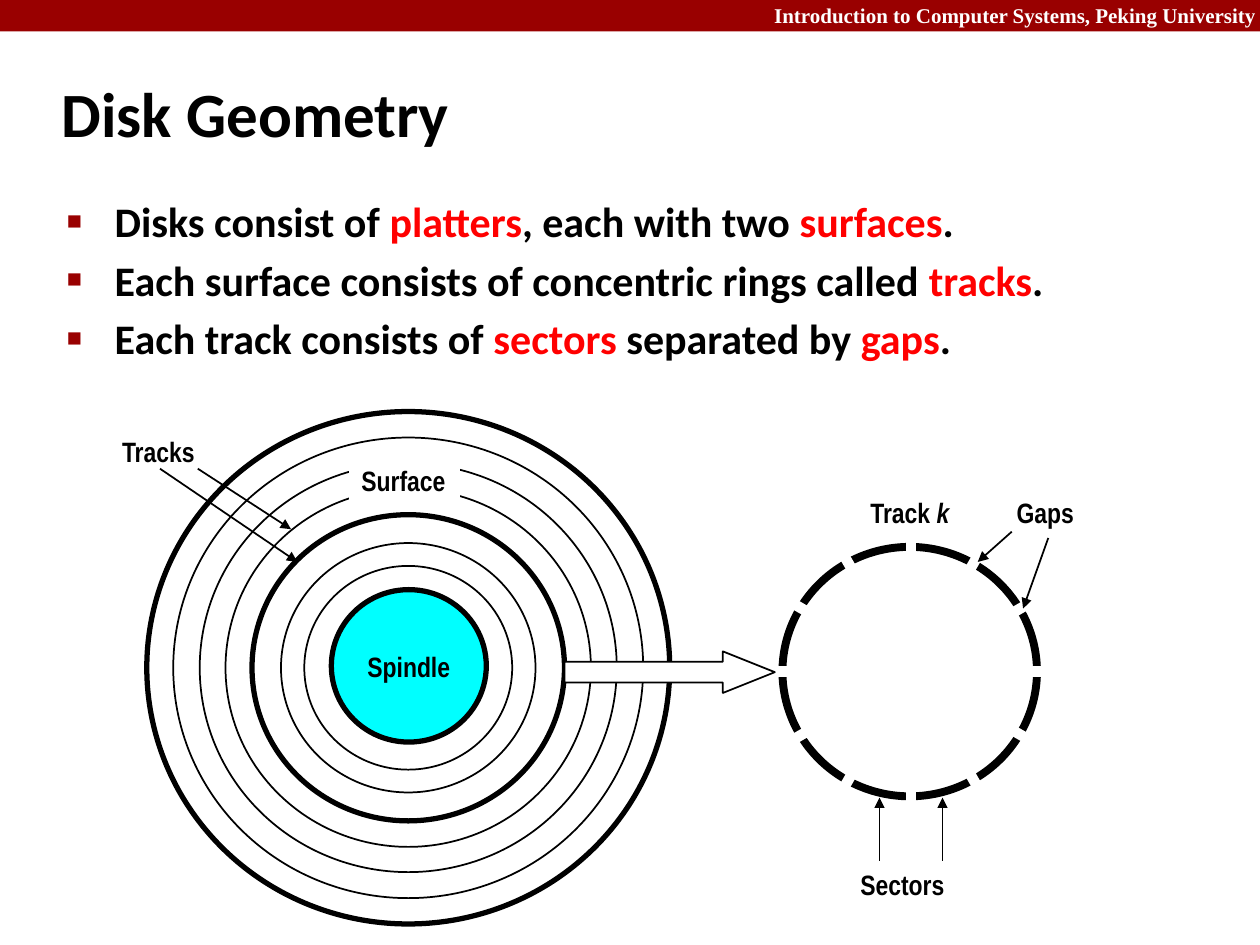
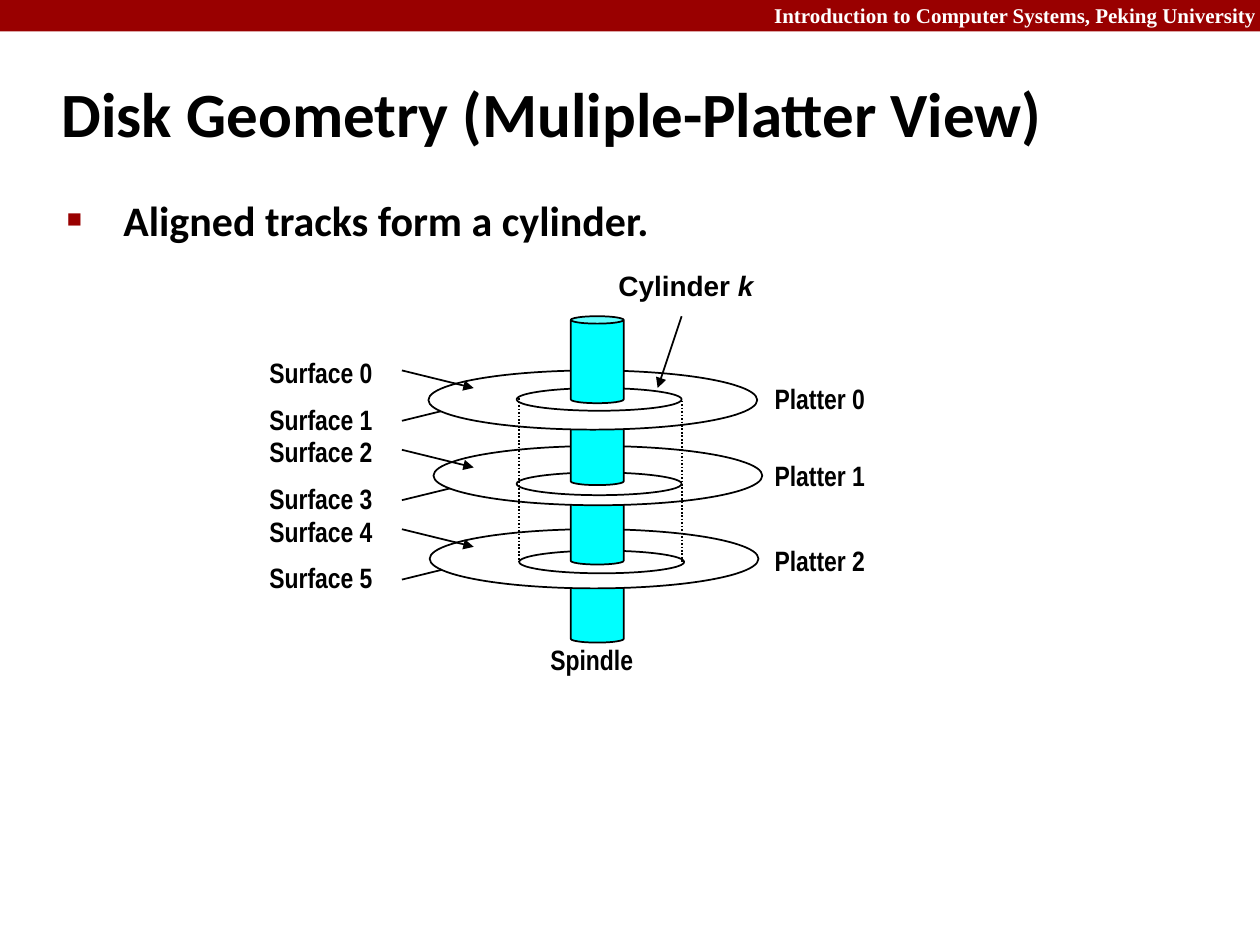
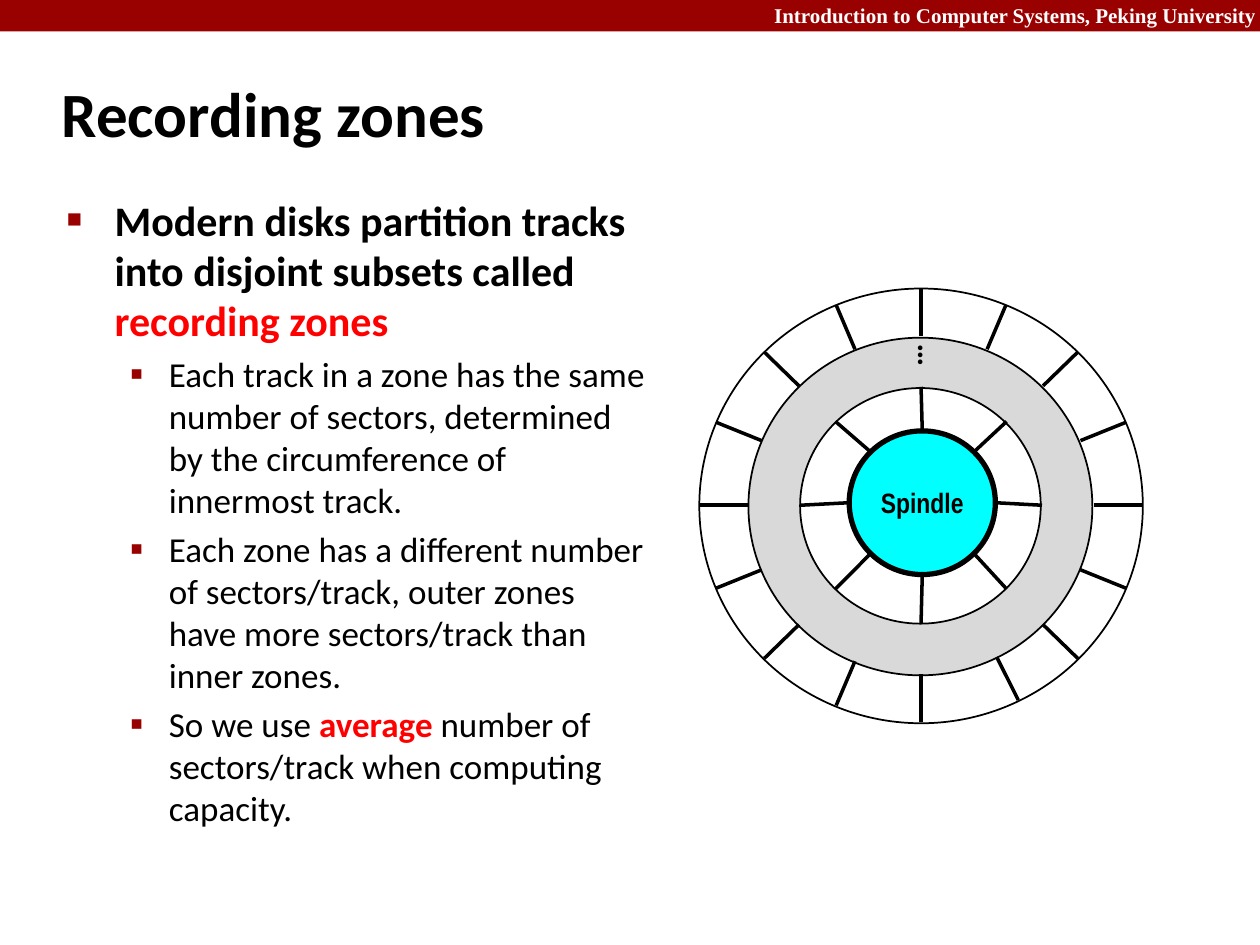
from math import cos, radians, sin

from lxml import etree
from pptx import Presentation
from pptx.dml.color import RGBColor
from pptx.enum.dml import MSO_LINE
from pptx.enum.shapes import MSO_CONNECTOR, MSO_SHAPE
from pptx.enum.text import MSO_ANCHOR, MSO_AUTO_SIZE, PP_ALIGN
from pptx.oxml.ns import qn
from pptx.util import Inches, Pt

RECTANGLE, ELLIPSE = MSO_SHAPE.RECTANGLE, MSO_SHAPE.OVAL
CAN, RIGHT_ARROW = MSO_SHAPE.CAN, MSO_SHAPE.RIGHT_ARROW
STRAIGHT, DOTTED = MSO_CONNECTOR.STRAIGHT, MSO_LINE.ROUND_DOT
MIDDLE, NO_AUTOFIT = MSO_ANCHOR.MIDDLE, MSO_AUTO_SIZE.NONE
LEFT, CENTER, RIGHT = PP_ALIGN.LEFT, PP_ALIGN.CENTER, PP_ALIGN.RIGHT

color_of = RGBColor.from_string
BLACK, WHITE, RED = "000000", "FFFFFF", "FF0000"
DARK_RED, CYAN, GRAY = "990000", "00FFFF", "D9D9D9"


def add_figure(slide, kind, box, fill=None, line_width=0, text="",
               font="Arial Narrow", size=16, color=BLACK):
    box = [Inches(length) for length in box]
    if kind is None:
        shape = slide.shapes.add_textbox(*box)
    else:
        shape = slide.shapes.add_shape(kind, *box)
        shape.shadow.inherit = False
    if fill:
        shape.fill.solid()
        shape.fill.fore_color.rgb = color_of(fill)
    else:
        shape.fill.background()
    if line_width:
        shape.line.color.rgb = color_of(BLACK)
        shape.line.width = Pt(line_width)
    else:
        shape.line.fill.background()
    if text:
        frame = shape.text_frame
        frame.word_wrap = False
        frame.vertical_anchor = MIDDLE
        paragraph = frame.paragraphs[0]
        paragraph.alignment = CENTER if kind == ELLIPSE else LEFT
        for index, part in enumerate(text.split("*")):
            if part:
                run = paragraph.add_run()
                run.text = part
                run.font.name = font
                run.font.size = Pt(size)
                run.font.bold = True
                run.font.italic = index % 2 == 1
                run.font.color.rgb = color_of(color)
    return shape


def add_line(slide, start, end, width=1, color=BLACK, arrow=False):
    connector = slide.shapes.add_connector(
        STRAIGHT, *[Inches(length) for length in (*start, *end)])
    connector.line.color.rgb = color_of(color)
    connector.line.width = Pt(width)
    properties = connector.element.spPr
    if arrow:
        etree.SubElement(properties.find(qn("a:ln")), qn("a:tailEnd"), type="triangle")
    etree.SubElement(properties, qn("a:effectLst"))
    return connector


presentation = Presentation()
presentation.slide_width = Inches(10)
presentation.slide_height = Inches(7.5)
layout = presentation.slide_layouts[1]

contents = [
    ("Disk Geometry", (0.43, 1.5, 8.64, 5.44), 0.38, [
        (0, "Disks consist of *platters*, each with two *surfaces*."),
        (0, "Each surface consists of concentric rings called *tracks*."),
        (0, "Each track consists of *sectors* separated by *gaps*."),
    ]),
    ("Disk Geometry (Muliple-Platter View)", (0.43, 1.49, 8.64, 5.44), 0.45, [
        (0, "Aligned tracks form a cylinder."),
    ]),
    ("Recording zones", (0.43, 1.49, 4.83, 5.54), 0.38, [
        (0, "Modern disks partition tracks into disjoint subsets called *recording zones*"),
        (1, "Each track in a zone has the same number of sectors, "
            "determined by the circumference of innermost track."),
        (1, "Each zone has a different number of sectors/track, "
            "outer zones have more sectors/track than inner zones."),
        (1, "So we use *average* number of sectors/track when computing capacity."),
    ]),
]

for title_text, body_box, first_indent, items in contents:
    slide = presentation.slides.add_slide(layout)
    title, body = slide.shapes.title, slide.placeholders[1]
    for shape, box in ((title, (0.39, 0.48, 8.3, 0.83)), (body, body_box)):
        shape.left, shape.top, shape.width, shape.height = [Inches(length) for length in box]
        shape.text_frame.auto_size = NO_AUTOFIT
    title.text_frame.vertical_anchor = MIDDLE
    paragraph = title.text_frame.paragraphs[0]
    paragraph.alignment = LEFT
    run = paragraph.add_run()
    run.text = title_text
    run.font.name = "Calibri"
    run.font.size = Pt(36)
    run.font.bold = True
    run.font.color.rgb = color_of(BLACK)

    for number, (level, text) in enumerate(items):
        frame = body.text_frame
        paragraph = frame.add_paragraph() if number else frame.paragraphs[0]
        paragraph.level = level
        margin, hanging, bullet, bullet_size, size = (
            (0.81, 0.31, "▪", "110000", 20) if level
            else (first_indent, first_indent, "■", "60000", 24))
        properties = paragraph._p.get_or_add_pPr()
        properties.set("marL", str(Inches(margin)))
        properties.set("indent", str(-Inches(hanging)))
        bullet_color = etree.SubElement(properties, qn("a:buClr"))
        etree.SubElement(bullet_color, qn("a:srgbClr"), val=DARK_RED)
        etree.SubElement(properties, qn("a:buSzPct"), val=bullet_size)
        etree.SubElement(properties, qn("a:buChar"), char=bullet)
        if number == 0:
            paragraph.space_before = Pt(0)
        for index, part in enumerate(text.split("*")):
            if part:
                emphasised = index % 2 == 1
                run = paragraph.add_run()
                run.text = part
                run.font.name = "Calibri"
                run.font.size = Pt(size)
                run.font.bold = level == 0 or emphasised
                run.font.color.rgb = color_of(RED if emphasised else BLACK)

geometry, platters, zones = presentation.slides

band = add_figure(geometry, RECTANGLE, (0, 0, 10, 0.25), DARK_RED)
course = add_figure(geometry, None, (6, -0.03, 4.07, 0.3),
                    text="Introduction to Computer Systems, Peking University",
                    font="Times New Roman", size=12, color=WHITE)
course.text_frame.word_wrap = True
course.text_frame.paragraphs[0].alignment = RIGHT
for shape in (band, course):
    layout.shapes.element.append(shape.element)

for diameter, line_width in ((4.15, 3), (3.73, 1), (3.31, 1), (2.9, 1),
                             (2.48, 3), (2.02, 1), (1.65, 1)):
    height = 0.98 * diameter
    add_figure(geometry, ELLIPSE, (3.24 - diameter / 2, 5.3 - height / 2, diameter, height),
               line_width=line_width)
add_figure(geometry, ELLIPSE, (2.63, 4.68, 1.23, 1.21), CYAN, 3, "Spindle")
add_figure(geometry, RECTANGLE, (2.77, 3.63, 0.88, 0.37), WHITE, text="Surface")

add_figure(geometry, ELLIPSE, (6.21, 4.34, 2.02, 1.98), line_width=4.5)
for step in range(12):
    angle = radians(30 * step)
    add_line(geometry, (7.23, 5.33), (7.23 + 1.16 * sin(angle), 5.33 - 1.16 * cos(angle)),
             6, WHITE)
add_figure(geometry, RIGHT_ARROW, (4.48, 5.17, 1.67, 0.33), WHITE, 1).adjustments[1] = 1.25

for start, end in (((1.27, 3.72), (2.36, 4.46)), ((1.57, 3.72), (2.31, 4.2)),
                   ((6.98, 6.83), (6.98, 6.33)), ((7.48, 6.83), (7.48, 6.33)),
                   ((8.03, 4.22), (7.76, 4.46)), ((8.32, 4.27), (8.12, 4.83))):
    add_line(geometry, start, end, arrow=True)
for text, left, top, width in (("Tracks", 0.87, 3.4, 0.79), ("Track *k*", 6.81, 3.88, 0.87),
                               ("Gaps", 7.97, 3.88, 0.66), ("Sectors", 6.73, 6.83, 0.88)):
    add_figure(geometry, None, (left, top, width, 0.37), text=text)

for number, can_top, platter_left, platter_top, track_left, track_top, surface_top, label_top in (
        (2, 4.41, 3.41, 4.2, 4.12, 4.37, 4.2, 4.26),
        (1, 3.79, 3.44, 3.54, 4.1, 3.75, 3.57, 3.59),
        (0, 3.16, 3.4, 2.94, 4.1, 3.08, 2.94, 2.98)):
    add_figure(platters, CAN, (4.53, can_top, 0.42, 0.69), CYAN, 1).adjustments[0] = 0.14
    add_line(platters, (3.19, surface_top + 0.4), (3.76, surface_top + 0.26), arrow=True)
    add_figure(platters, ELLIPSE, (platter_left, platter_top, 2.61, 0.47), WHITE, 1)
    add_figure(platters, ELLIPSE, (track_left, track_top, 1.31, 0.18), line_width=1)
    add_line(platters, (3.19, surface_top), (3.76, surface_top + 0.14), arrow=True)
    for side, offset in enumerate((-0.17, 0.2)):
        add_figure(platters, None, (2.04, surface_top + offset, 1.03, 0.37),
                   text=f"Surface {2 * number + side}")
    add_figure(platters, None, (6.05, label_top, 0.93, 0.37), text=f"Platter {number}")
add_figure(platters, CAN, (4.53, 2.51, 0.42, 0.69), CYAN, 1).adjustments[0] = 0.14
for edge, top in ((4.12, 3.16), (5.41, 3.18)):
    add_line(platters, (edge, top), (edge, top + 1.3)).line.dash_style = DOTTED
add_figure(platters, None, (4.81, 2.08, 1.3, 0.37), text="Cylinder *k*", font="Arial")
add_line(platters, (5.41, 2.51), (5.22, 3.08), arrow=True)
add_figure(platters, None, (4.27, 5.05, 0.87, 0.37), text="Spindle")

add_figure(zones, ELLIPSE, (5.94, 2.68, 2.73, 2.68), GRAY, 1)
add_figure(zones, ELLIPSE, (6.35, 3.08, 1.91, 1.87), WHITE, 1)
add_figure(zones, ELLIPSE, (5.55, 2.29, 3.52, 3.45), line_width=1)
add_figure(zones, ELLIPSE, (6.74, 3.42, 1.16, 1.14), CYAN, 3, "Spindle")
outer_angles = [22.5 * step for step in range(16)]
outer_angles[7] = 154
inner_angles = [45 * step for step in range(8)]
for angles, outer_edge, inner_edge in (
        (outer_angles, (7.31, 4.01, 1.76, 1.72), (7.31, 4.01, 1.37, 1.34)),
        (inner_angles, (7.31, 4.01, 0.96, 0.94), (7.32, 3.99, 0.58, 0.57))):
    for degrees in angles:
        angle = radians(degrees)
        start, end = [(x + x_radius * sin(angle), y - y_radius * cos(angle))
                      for x, y, x_radius, y_radius in (outer_edge, inner_edge)]
        add_line(zones, start, end, 2)
dots = add_figure(zones, None, (6.97, 2.73, 0.5, 0.28), text="…", font="Calibri", size=18)
dots.element.txBody.bodyPr.set("vert", "vert270")

presentation.save("out.pptx")
